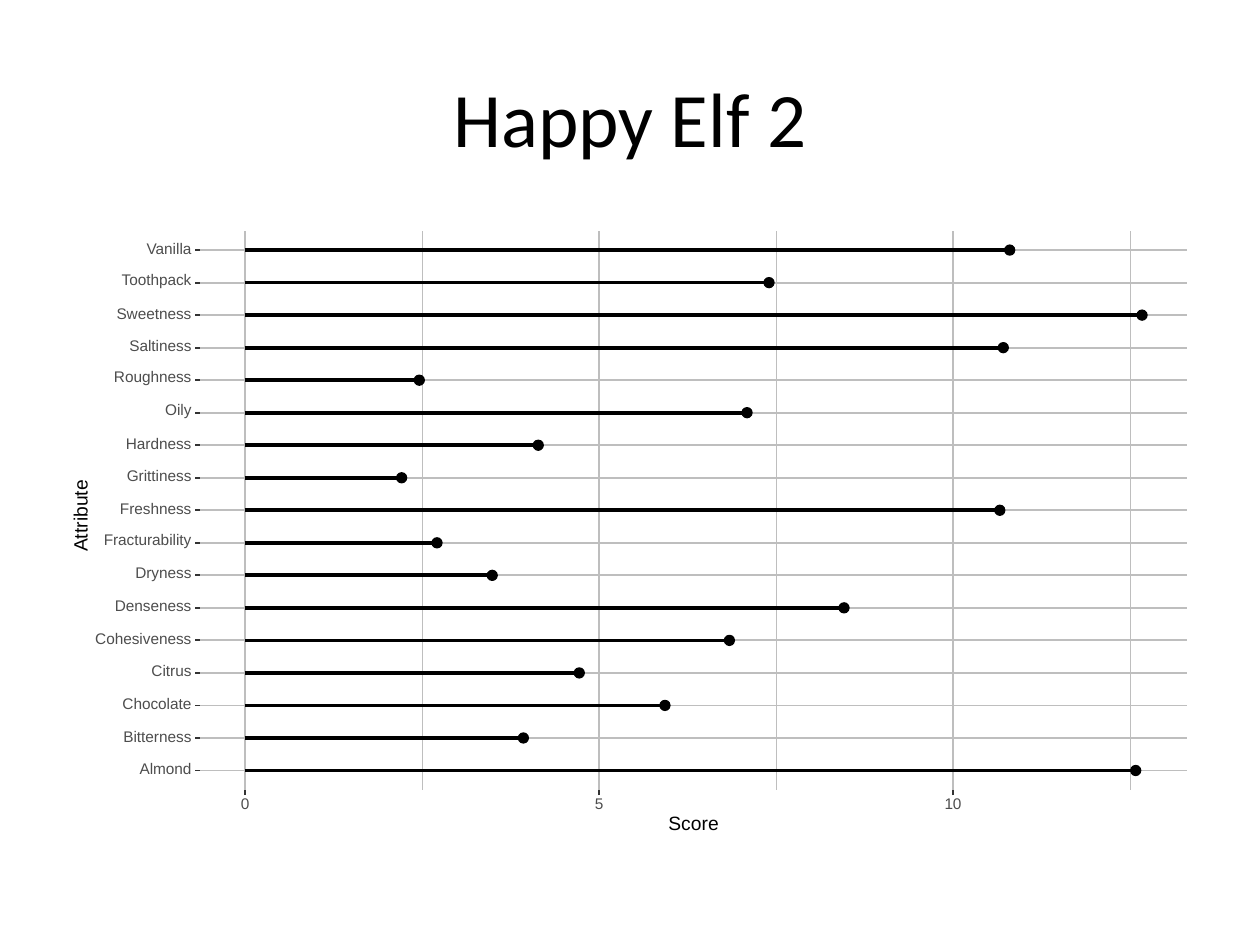
from lxml import etree
from pptx import Presentation
from pptx.dml.color import RGBColor
from pptx.enum import shapes, text
from pptx.oxml.ns import qn
from pptx.util import Inches, Pt

BLACK = RGBColor(0, 0, 0)
WHITE = RGBColor(255, 255, 255)
GRID = RGBColor(0xBE, 0xBE, 0xBE)
TICK = RGBColor(0x33, 0x33, 0x33)
GRAY = RGBColor(0x4D, 0x4D, 0x4D)
ALIGN = text.PP_ALIGN
SCORES = {
    "Almond": 12.58, "Bitterness": 3.93, "Chocolate": 5.93, "Citrus": 4.72,
    "Cohesiveness": 6.84, "Denseness": 8.46, "Dryness": 3.49,
    "Fracturability": 2.71, "Freshness": 10.66, "Grittiness": 2.21,
    "Hardness": 4.14, "Oily": 7.09, "Roughness": 2.46, "Saltiness": 10.71,
    "Sweetness": 12.67, "Toothpack": 7.4, "Vanilla": 10.8,
}


def apply(item, style):
    for name, value in style.items():
        setattr(item, name, value)


def add_line(group, x1, y1, x2, y2, color, width):
    ends = [Inches(n) for n in (x1, y1, x2, y2)]
    line = group.shapes.add_connector(shapes.MSO_CONNECTOR.STRAIGHT, *ends)
    line.line.color.rgb = color
    line.line.width = Pt(width)
    etree.SubElement(line._element.spPr, qn("a:effectLst"))


def add_shape(group, kind, box, color, width):
    shape = group.shapes.add_shape(kind, *[Inches(n) for n in box])
    shape.shadow.inherit = False
    shape.fill.solid()
    shape.fill.fore_color.rgb = color
    shape.line.color.rgb = color
    shape.line.width = Pt(width)


def add_label(group, words, box, size, color, align, turn=0):
    label = group.shapes.add_textbox(*[Inches(n) for n in box])
    label.rotation = turn
    frame = label.text_frame
    apply(frame, dict(margin_left=0, margin_right=0, margin_top=0,
                      margin_bottom=0, word_wrap=True,
                      vertical_anchor=text.MSO_ANCHOR.MIDDLE))
    para = frame.paragraphs[0]
    apply(para, dict(alignment=align, line_spacing=Pt(size)))
    run = para.add_run()
    run.text = words
    apply(run.font, dict(size=Pt(size), name="Arial"))
    run.font.color.rgb = color


def add_title(slide, words, box):
    title = slide.shapes.title
    places = [Inches(n) for n in box]
    apply(title, dict(zip(("left", "top", "width", "height"), places)))
    title.text_frame.text = words
    title.text_frame.vertical_anchor = text.MSO_ANCHOR.MIDDLE
    para = title.text_frame.paragraphs[0]
    para.alignment = ALIGN.CENTER
    apply(para.runs[0].font, dict(size=Pt(44), name="Calibri"))
    para.runs[0].font.color.rgb = BLACK


def add_plot(group, box):
    left, top, width, height = box
    right, bottom = left + width, top + height
    peak = max(SCORES.values())
    unit = width / (1.1 * peak)
    zero = left + 0.05 * width / 1.1
    gap = height / (len(SCORES) + 0.2)
    rows = [bottom - gap * (n + 0.6) for n in range(len(SCORES))]
    ends = [zero + unit * score for score in SCORES.values()]
    marks = {value: zero + unit * value for value in (0, 5, 10)}

    for value in (2.5, 7.5, 12.5):
        x = zero + unit * value
        add_line(group, x, bottom, x, top, GRID, 0.53)
    for y in rows:
        add_line(group, left, y, right, y, GRID, 1.07)
    for x in marks.values():
        add_line(group, x, bottom, x, top, GRID, 1.07)
    for x, y in zip(ends, rows):
        dot = (x - 0.04, y - 0.04, 0.08, 0.08)
        add_shape(group, shapes.MSO_SHAPE.OVAL, dot, BLACK, 0.71)
        add_line(group, x, y, zero, y, BLACK, 2.13)
    for name, y in zip(SCORES, rows):
        tall = 0.11 if set(name) & set("gpy") else 0.09
        place = (left - 0.87, y + 0.04 - tall, 0.8, tall)
        add_label(group, name, place, 8.8, GRAY, ALIGN.RIGHT)
        add_line(group, left - 0.04, y, left, y, TICK, 1.07)
    for value, x in marks.items():
        add_line(group, x, bottom + 0.04, x, bottom, TICK, 1.07)
        place = (x - 0.1, bottom + 0.07, 0.2, 0.09)
        add_label(group, str(value), place, 8.8, GRAY, ALIGN.CENTER)

    place = (left + width / 2 - 0.25, bottom + 0.22, 0.5, 0.11)
    add_label(group, "Score", place, 11, BLACK, ALIGN.CENTER)
    place = (left - 1.29, top + height / 2 - 0.01, 0.7, 0.11)
    add_label(group, "Attribute", place, 11, BLACK, ALIGN.CENTER, 270)


def main():
    deck = Presentation()
    deck.slide_width, deck.slide_height = Inches(10), Inches(7.5)
    slide = deck.slides.add_slide(deck.slide_layouts[5])
    add_title(slide, "Happy Elf 2", (0.5, 0.3, 9, 1.25))
    group = slide.shapes.add_group_shape()
    add_shape(group, shapes.MSO_SHAPE.RECTANGLE, (0.5, 1.75, 9, 4.95), WHITE, 0.75)
    add_plot(group, (1.59, 1.83, 7.83, 4.44))
    deck.save("out.pptx")


if __name__ == "__main__":
    main()
